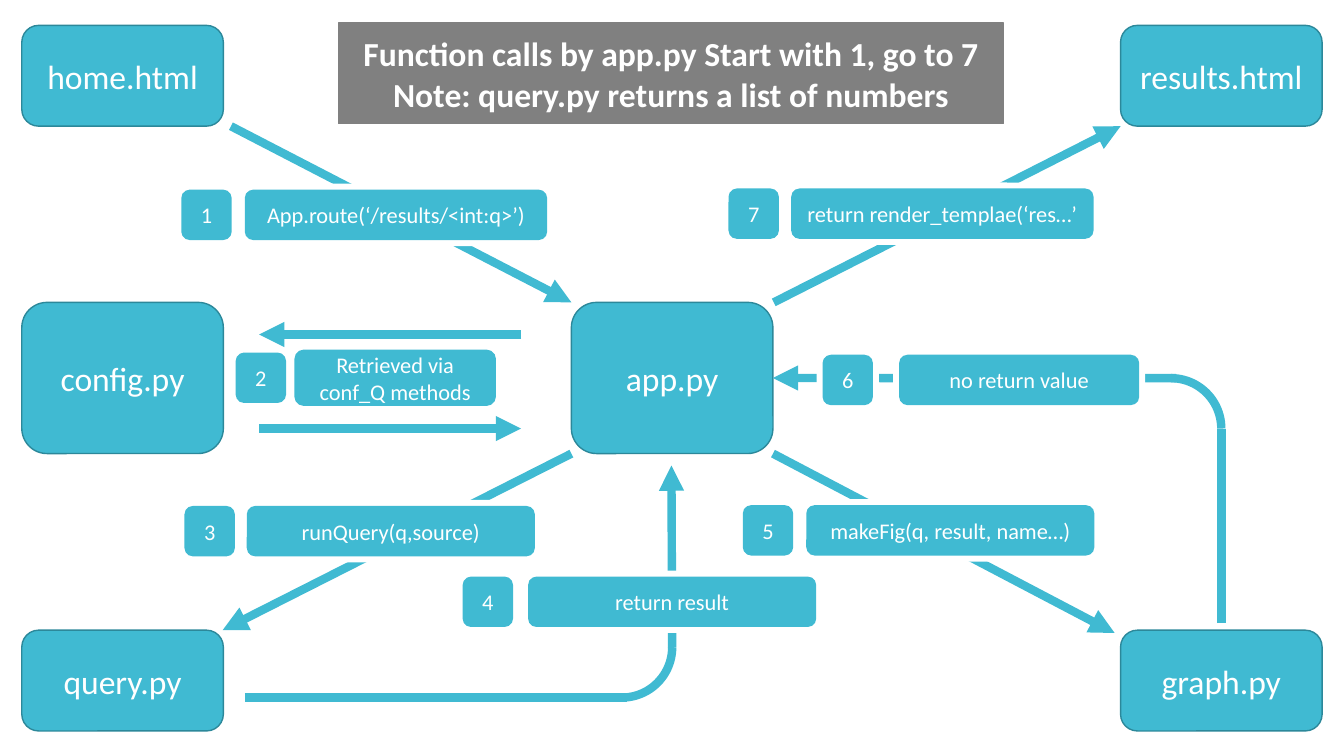
from lxml import etree
from pptx import Presentation
from pptx.dml.color import RGBColor
from pptx.enum import shapes, text
from pptx.oxml import ns
from pptx.util import Cm, Pt

TEAL, DARK_TEAL, GRAY, WHITE = "40BAD2", "2C889A", "808080", "FFFFFF"
BADGE = 1.27
HALO = 0.15
COLUMNS = (0.55, 14.4, 28.24)
NODE_WIDTH = 5.08

NODES = [
    ("home.html", 0, 0.64, 2.54),
    ("results.html", 2, 0.64, 2.54),
    ("config.py", 0, 7.62, 3.81),
    ("app.py", 1, 7.62, 3.81),
    ("query.py", 0, 15.88, 2.54),
    ("graph.py", 2, 15.88, 2.54),
]
ARROWS = [
    (5.82, 3.18, 14.4, 7.62),
    (13.13, 8.43, 6.53, 8.43),
    (6.53, 10.8, 13.13, 10.8),
    (14.4, 11.43, 5.61, 15.88),
    (16.94, 16.31, 16.92, 11.73),
    (19.48, 11.43, 28.09, 15.95),
    (19.5, 7.62, 28.24, 3.18),
]
CALLS = [
    ("App.route(‘/results/<int:q>’)", (6.17, 4.78, 7.62, 1.27), 0.33),
    ("Retrieved via conf_Q methods", (7.42, 8.81, 5.08, 1.42), 0.21),
    ("runQuery(q,source)", (6.22, 12.75, 7.26, 1.27), 0.3),
    ("return result", (13.31, 14.53, 7.26, 1.27), 0.38),
    ("makeFig(q, result, name…)", (20.32, 12.73, 7.26, 1.27), 0.33),
    ("no return value", (22.66, 8.94, 6.05, 1.27), 0.66),
    ("return render_templae(‘res…’", (19.94, 4.75, 7.62, 1.27), 0.31),
]


def color(value):
    return RGBColor.from_string(value)


def write(shape, lines, size, bold=False):
    frame = shape.text_frame
    frame.text = "\n".join(lines)
    frame.vertical_anchor = text.MSO_ANCHOR.MIDDLE
    for paragraph in frame.paragraphs:
        paragraph.alignment = text.PP_ALIGN.CENTER
        paragraph.font.name = "Calibri"
        paragraph.font.size = Pt(size)
        paragraph.font.bold = bold
        paragraph.font.color.rgb = color(WHITE)


def paint(shape, fill, outline=None):
    shape.fill.solid()
    shape.fill.fore_color.rgb = color(fill)
    if outline:
        shape.line.color.rgb = color(outline)
        shape.line.width = Pt(1)
    else:
        shape.line.fill.background()


def rounded(slide, box, fill, outline=None):
    shape = slide.shapes.add_shape(
        shapes.MSO_SHAPE.ROUNDED_RECTANGLE, *map(Cm, box))
    shape.shadow.inherit = False
    paint(shape, fill, outline)
    return shape


def place_heading(slide, box, lines):
    heading = slide.shapes.title
    heading.left, heading.top, heading.width, heading.height = map(Cm, box)
    geometry = etree.SubElement(
        heading.element.spPr, ns.qn("a:prstGeom"), prst="roundRect")
    etree.SubElement(geometry, ns.qn("a:avLst"))
    paint(heading, GRAY, GRAY)
    heading.text_frame.auto_size = text.MSO_AUTO_SIZE.NONE
    write(heading, lines, 24, bold=True)


def place_node(slide, box, name):
    node = rounded(slide, box, TEAL, DARK_TEAL)
    write(node, [name], 24)
    return node


def place_line(slide, ends, arrow=True):
    line = slide.shapes.add_connector(
        shapes.MSO_CONNECTOR.STRAIGHT, *map(Cm, ends))
    line.line.color.rgb = color(TEAL)
    line.line.width = Pt(6)
    if arrow:
        etree.SubElement(line.line._get_or_add_ln(), ns.qn("a:tailEnd"), type="triangle")
    etree.SubElement(line._element.spPr, ns.qn("a:effectLst"))
    return line


def place_bend(slide, box, rotation=0):
    bend = slide.shapes.add_shape(shapes.MSO_SHAPE.ARC, *map(Cm, box))
    bend.rotation = rotation
    bend.shadow.inherit = False
    bend.fill.background()
    bend.line.color.rgb = color(TEAL)
    bend.line.width = Pt(6)


def place_tag(slide, box, caption, halo):
    x, y, w, h = box
    if halo:
        rounded(slide, (x - HALO, y - HALO, w + 2 * HALO, h + 2 * HALO), WHITE)
    write(rounded(slide, box, TEAL), [caption], 16)


def place_call(slide, box, number, caption, gap):
    x, y, w, h = box
    badge = (x - gap - BADGE, y + (h - BADGE) / 2, BADGE, BADGE)
    place_tag(slide, box, caption, halo=number != 2)
    place_tag(slide, badge, str(number), halo=number == 6)


def build_call_diagram(slide):
    nodes = {}
    for name, column, top, height in NODES:
        box = (COLUMNS[column], top, NODE_WIDTH, height)
        nodes[name] = place_node(slide, box, name)

    for ends in ARROWS:
        place_line(slide, ends)
    place_line(slide, (6.17, 17.58, 15.8, 17.58), arrow=False)
    place_bend(slide, (14.4, 15.04, 2.54, 2.54), rotation=90)
    place_line(slide, (30.78, 15.7, 30.78, 10.8), arrow=False)
    place_bend(slide, (28.24, 9.53, 2.54, 2.54))
    graph_return = place_line(slide, (29.64, 9.53, 19.48, 9.53))
    graph_return.end_connect(nodes["app.py"], 3)

    for number, (caption, box, gap) in enumerate(CALLS, 1):
        place_call(slide, box, number, caption, gap)


def main():
    deck = Presentation()
    deck.slide_width, deck.slide_height = Cm(33.87), Cm(19.05)
    slide = deck.slides.add_slide(deck.slide_layouts[5])
    place_heading(slide, (8.53, 0.58, 16.76, 2.54), [
        "Function calls by app.py Start with 1, go to 7",
        "Note: query.py returns a list of numbers",
    ])
    build_call_diagram(slide)
    deck.save("out.pptx")


if __name__ == "__main__":
    main()
